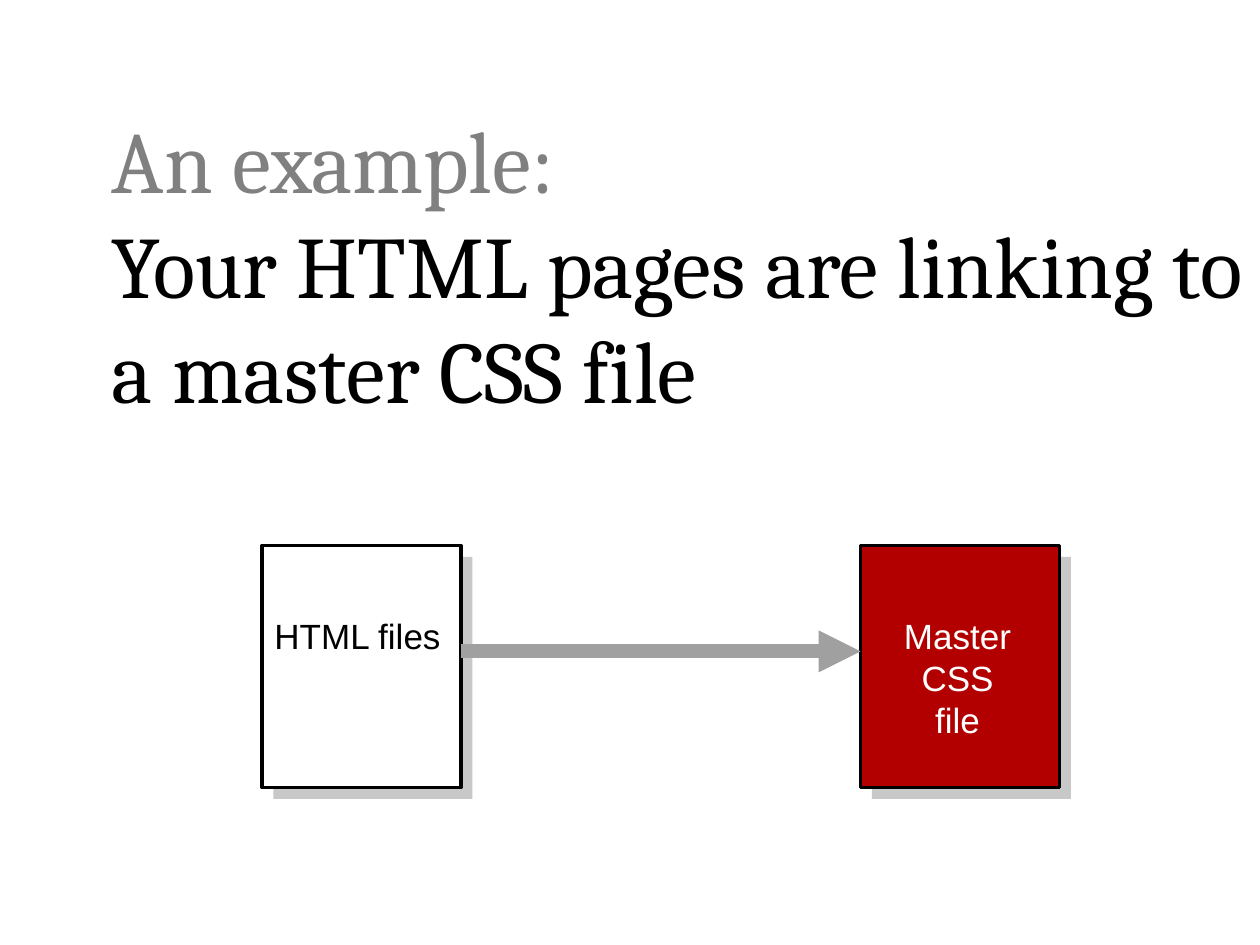
"""Build a slide showing HTML files that link to a master CSS file."""
from dataclasses import dataclass

import lxml.etree
import pptx
import pptx.dml.color
import pptx.enum.shapes
import pptx.enum.text
import pptx.oxml.ns
import pptx.util

Inches = pptx.util.Inches
Align = pptx.enum.text.PP_ALIGN

COLORS = {
    "black": "000000",
    "white": "FFFFFF",
    "muted": "808080",
    "shadow": "C8C8C8",
    "master": "B20000",
    "arrow": "A0A0A0",
}
BOX_TOP, BOX_WIDTH, BOX_HEIGHT = 4.33, 1.58, 1.92
SHADOW_OFFSET = 0.09
LABEL_TOP = 4.83
ARROW_Y = 5.17


@dataclass
class FileBox:
    left: float
    fill: str
    label_left: float
    label_width: float
    label_height: float
    label_lines: list[str]
    label_color: str
    alignment: Align


FILE_BOXES = [
    FileBox(2.08, "white", 2.08, 1.53, 0.44, ["HTML files"], "black", Align.LEFT),
    FileBox(6.83, "master", 7, 1.2, 0.77, ["Master", "CSS file"], "white", Align.CENTER),
]


def rgb(name: str) -> pptx.dml.color.RGBColor:
    return pptx.dml.color.RGBColor.from_string(COLORS[name])


def add_title(slide) -> None:
    shape = slide.shapes.add_textbox(Inches(0.79), Inches(0.79), Inches(9.21), Inches(2.17))
    shape.text_frame.word_wrap = True
    paragraph = shape.text_frame.paragraphs[0]
    paragraph.font.size = pptx.util.Pt(50)
    paragraph.font.name = "Cambria"
    lead = paragraph.add_run()
    lead.text = "An example:"
    lead.font.color.rgb = rgb("muted")
    paragraph.add_line_break()
    statement = paragraph.add_run()
    statement.text = "Your HTML pages are linking to a master CSS file"
    statement.font.color.rgb = rgb("black")


def add_rectangle(slide, left: float, top: float, fill: str, outline: str | None = None) -> None:
    shape = slide.shapes.add_shape(
        pptx.enum.shapes.MSO_SHAPE.RECTANGLE,
        Inches(left), Inches(top), Inches(BOX_WIDTH), Inches(BOX_HEIGHT),
    )
    shape.shadow.inherit = False
    shape.fill.solid()
    shape.fill.fore_color.rgb = rgb(fill)
    if outline:
        shape.line.color.rgb = rgb(outline)
        shape.line.width = pptx.util.Pt(2)
    else:
        shape.line.fill.background()


def add_file_box(slide, box: FileBox) -> None:
    add_rectangle(slide, box.left + SHADOW_OFFSET, BOX_TOP + SHADOW_OFFSET, "shadow")
    add_rectangle(slide, box.left, BOX_TOP, box.fill, "black")
    label = slide.shapes.add_textbox(
        Inches(box.label_left), Inches(LABEL_TOP),
        Inches(box.label_width), Inches(box.label_height),
    )
    frame = label.text_frame
    frame.word_wrap = False
    frame.auto_size = pptx.enum.text.MSO_AUTO_SIZE.SHAPE_TO_FIT_TEXT
    frame.text = "\n".join(box.label_lines)
    for paragraph in frame.paragraphs:
        paragraph.alignment = box.alignment
        paragraph.font.size = pptx.util.Pt(20)
        paragraph.font.name = "Arial"
        paragraph.font.color.rgb = rgb(box.label_color)


def add_arrow(slide, start: float, end: float) -> None:
    connector = slide.shapes.add_connector(
        pptx.enum.shapes.MSO_CONNECTOR.STRAIGHT,
        Inches(start), Inches(ARROW_Y), Inches(end), Inches(ARROW_Y),
    )
    connector.line.color.rgb = rgb("arrow")
    connector.line.width = pptx.util.Pt(8)
    qn = pptx.oxml.ns.qn
    lxml.etree.SubElement(connector.line._get_or_add_ln(), qn("a:tailEnd"), type="triangle")
    lxml.etree.SubElement(connector._element.spPr, qn("a:effectLst"))


def main() -> None:
    presentation = pptx.Presentation()
    presentation.slide_width = Inches(10)
    presentation.slide_height = Inches(7.5)
    slide = presentation.slides.add_slide(presentation.slide_layouts[6])
    add_title(slide)
    for box in FILE_BOXES:
        add_file_box(slide, box)
    source, target = FILE_BOXES
    add_arrow(slide, source.left + BOX_WIDTH, target.left)
    presentation.save("out.pptx")


if __name__ == "__main__":
    main()
